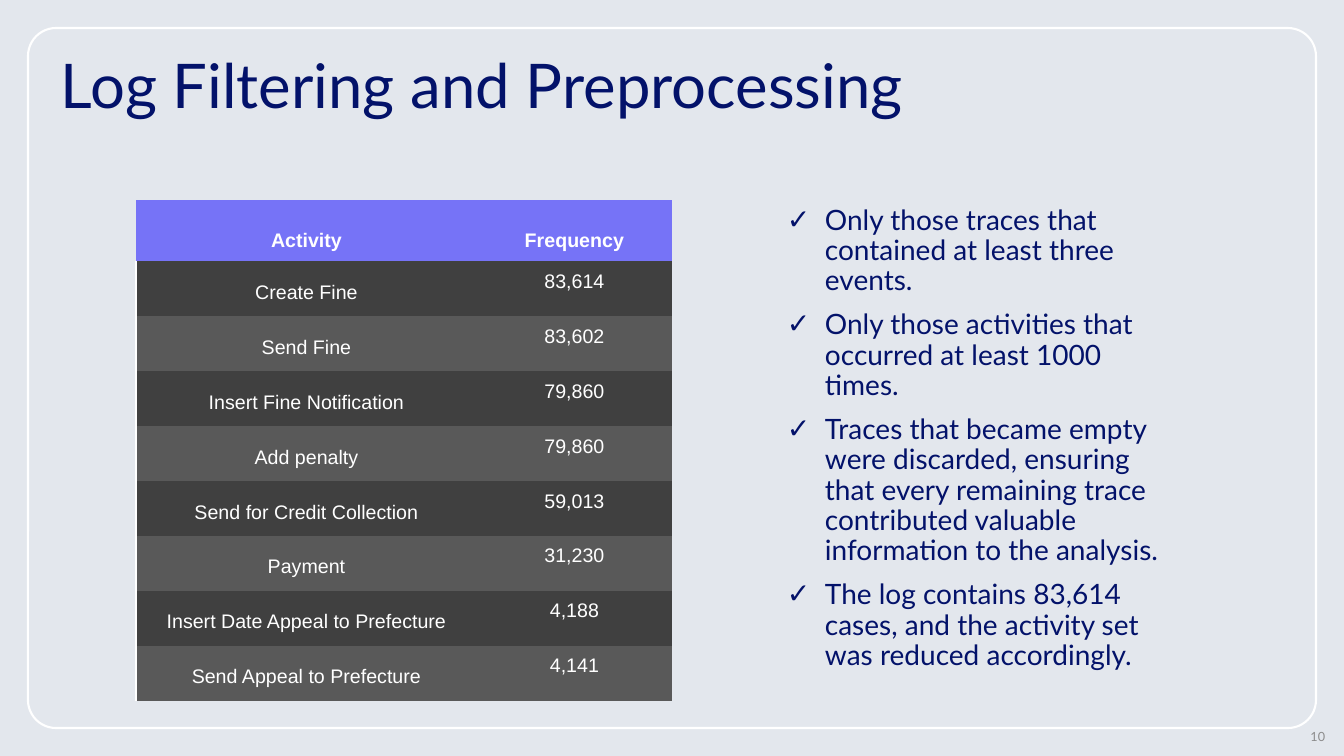
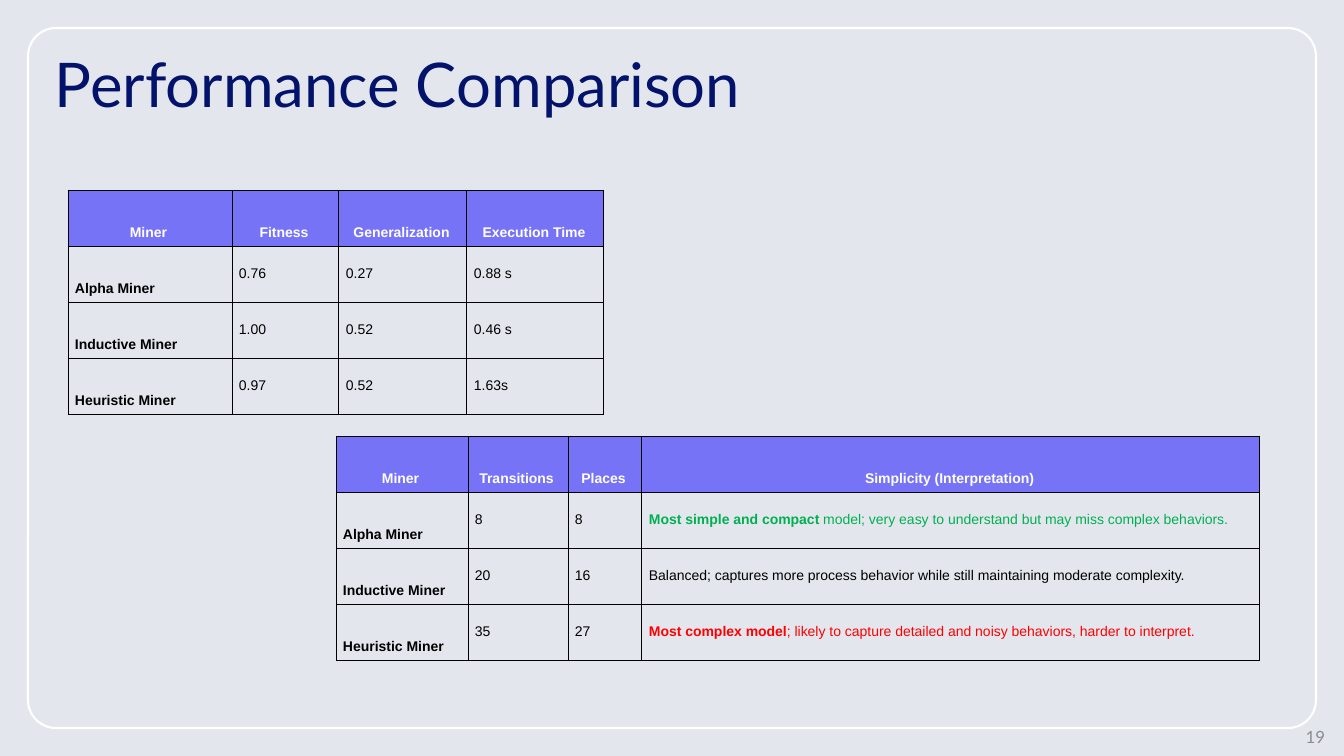
from lxml import etree
from pptx import Presentation
from pptx import util as u
from pptx.dml.color import RGBColor
from pptx.enum import shapes, text
from pptx.oxml import ns

PX = 12192000 / 1344
PAPER, NAVY, VIOLET, GREY = "E3E7ED", "03126A", "7673F7", "8C8C8C"
WHITE, BLACK, GREEN, RED = "FFFFFF", "000000", "00B050", "FF0000"
STRIPES = ("404040", "595959")
HEADING_FONT, TABLE_FONT = "Lato", "Arial"
LEFT, CENTER, RIGHT = text.PP_ALIGN.LEFT, text.PP_ALIGN.CENTER, text.PP_ALIGN.RIGHT
MIDDLE, BOTTOM = text.MSO_ANCHOR.MIDDLE, text.MSO_ANCHOR.BOTTOM

ACTIVITIES = [
    ("Activity", "Frequency"),
    ("Create Fine", "83,614"),
    ("Send Fine", "83,602"),
    ("Insert Fine Notification", "79,860"),
    ("Add penalty", "79,860"),
    ("Send for Credit Collection", "59,013"),
    ("Payment", "31,230"),
    ("Insert Date Appeal to Prefecture", "4,188"),
    ("Send Appeal to Prefecture", "4,141"),
]
FILTERS = [
    "Only those traces that contained at least three events.",
    "Only those activities that occurred at least 1000 times.",
    "Traces that became empty were discarded, ensuring that every remaining trace "
    "contributed valuable information to the analysis.",
    "The log contains 83,614 cases, and the activity set was reduced accordingly.",
]
SCORES = [
    ("Miner", "Fitness", "Generalization", "Execution Time"),
    ("Alpha Miner", "0.76", "0.27", "0.88 s"),
    ("Inductive Miner", "1.00", "0.52", "0.46 s"),
    ("Heuristic Miner", "0.97", "0.52", "1.63s"),
]
SIMPLICITY = [
    ("Miner", "Transitions", "Places", "Simplicity (Interpretation)"),
    ("Alpha Miner", "8", "8",
     [("Most simple and compact", GREEN, True),
      (" model; very easy to understand but may miss complex behaviors.", GREEN, False)]),
    ("Inductive Miner", "20", "16",
     "Balanced; captures more process behavior while still maintaining moderate complexity."),
    ("Heuristic Miner", "35", "27",
     [("Most complex model", RED, True),
      ("; likely to capture detailed and noisy behaviors, harder to interpret.", RED, False)]),
]


def px(length):
    return u.Emu(round(length * PX))


def color(code):
    return RGBColor.from_string(code)


def add_span(para, words, size, code, font=HEADING_FONT, bold=False):
    span = para.add_run()
    span.text = words
    span.font.size = u.Pt(size)
    span.font.name = font
    span.font.bold = bold
    span.font.color.rgb = color(code)


def add_box(page, left, top, width, height, anchor=text.MSO_ANCHOR.TOP):
    frame = page.shapes.add_textbox(px(left), px(top), px(width), px(height)).text_frame
    frame.word_wrap = True
    frame.vertical_anchor = anchor
    return frame


def add_title(page, words, left, top, width, height):
    para = add_box(page, left, top, width, height, BOTTOM).paragraphs[0]
    para.line_spacing = 0.9
    add_span(para, words, 44, NAVY)


def add_number(page, number, size):
    para = add_box(page, 1033, 724, 302, 25, MIDDLE).paragraphs[0]
    para.alignment = RIGHT
    add_span(para, number, size, GREY)


def add_page(deck):
    page = deck.slides.add_slide(deck.slide_layouts[6])
    page.background.fill.solid()
    page.background.fill.fore_color.rgb = color(PAPER)
    border = page.shapes.add_shape(
        shapes.MSO_SHAPE.ROUNDED_RECTANGLE, px(28), px(28), px(1288), px(700))
    border.adjustments[0] = 0.04
    border.shadow.inherit = False
    border.fill.background()
    border.line.color.rgb = color(WHITE)
    border.line.width = u.Pt(1.5)
    return page


def add_checklist(page, items, left, top, width, height):
    frame = add_box(page, left, top, width, height)
    for index, words in enumerate(items):
        para = frame.paragraphs[0] if index == 0 else frame.add_paragraph()
        props = para._p.get_or_add_pPr()
        props.set("marL", str(px(38)))
        props.set("indent", str(px(-38)))
        etree.SubElement(props, ns.qn("a:buFont"), typeface="Wingdings 2")
        props[-1].set("typeface", "Arial")
        etree.SubElement(props, ns.qn("a:buChar"), char="✓")
        para.line_spacing = 0.9
        if index:
            para.space_before = u.Pt(10)
        add_span(para, words, 20, NAVY)


def set_borders(cell, lines):
    props = cell._tc.get_or_add_tcPr()
    for side in "LRTB":
        edge = etree.SubElement(props, ns.qn(f"a:ln{side}"))
        if side in lines:
            code, width = lines[side]
            edge.set("w", str(u.Pt(width)))
            fill = etree.SubElement(edge, ns.qn("a:solidFill"))
            etree.SubElement(fill, ns.qn("a:srgbClr"), val=code)
        else:
            etree.SubElement(edge, ns.qn("a:noFill"))


def set_fill(cell, code):
    if code is None:
        cell.fill.background()
    else:
        cell.fill.solid()
        cell.fill.fore_color.rgb = color(code)


def set_margins(cell, margins):
    cell.margin_left, cell.margin_top, cell.margin_right, cell.margin_bottom = map(px, margins)


def write_cell(cell, content, size, code, bold, align, anchor):
    cell.vertical_anchor = anchor
    para = cell.text_frame.paragraphs[0]
    para.alignment = align
    para.line_spacing = u.Pt(11.2)
    spans = [(content, code, bold)] if isinstance(content, str) else content
    for words, ink, heavy in spans:
        add_span(para, words, size, ink, TABLE_FONT, heavy)


def add_grid(page, left, top, widths, heights):
    grid = page.shapes.add_table(
        len(heights), len(widths), px(left), px(top), px(sum(widths)), px(sum(heights))).table
    grid.first_row = grid.horz_banding = False
    for column, width in zip(grid.columns, widths):
        column.width = px(width)
    for row, height in zip(grid.rows, heights):
        row.height = px(height)
    return grid


def add_activity_table(page, rows, left, top, widths):
    grid = add_grid(page, left, top, widths, [61] + [55] * (len(rows) - 1))
    for r, row in enumerate(rows):
        for c, content in enumerate(row):
            cell = grid.cell(r, c)
            header, label = r == 0, c == 0
            set_borders(cell, {"L": (WHITE, 1)} if label and not header else {})
            set_fill(cell, VIOLET if header else STRIPES[(r - 1) % 2])
            set_margins(cell, (4, 23 if label or header else 1, 9, 9))
            write_cell(cell, content, 14, WHITE, header, CENTER, BOTTOM if header else MIDDLE)


def add_miner_table(page, rows, left, top, widths):
    grid = add_grid(page, left, top, widths, [56] * len(rows))
    for r, row in enumerate(rows):
        for c, content in enumerate(row):
            cell = grid.cell(r, c)
            header, label = r == 0, c == 0
            set_borders(cell, dict.fromkeys("LRTB", (BLACK, 0.75)))
            set_fill(cell, VIOLET if header else None)
            set_margins(cell, (7, 34 if header or label else 5, 10 if header else 7, 5))
            write_cell(cell, content, 10, WHITE if header else BLACK, header or label,
                       CENTER if header else LEFT, MIDDLE)


def main():
    deck = Presentation()
    deck.slide_width, deck.slide_height = px(1344), px(756)

    page = add_page(deck)
    add_title(page, "Log Filtering and Preprocessing", 51, 23, 1133, 104)
    add_checklist(page, FILTERS, 777, 201, 408, 490)
    add_number(page, "10", 9)
    add_activity_table(page, ACTIVITIES, 136, 200, [346, 190])

    page = add_page(deck)
    add_title(page, "Performance Comparison", 45, 35, 1125, 91)
    add_number(page, "19", 12)
    add_miner_table(page, SCORES, 68, 190, [164, 107, 128, 137])
    add_miner_table(page, SIMPLICITY, 336, 436, [132, 100, 74, 618])

    deck.save("out.pptx")


if __name__ == "__main__":
    main()
